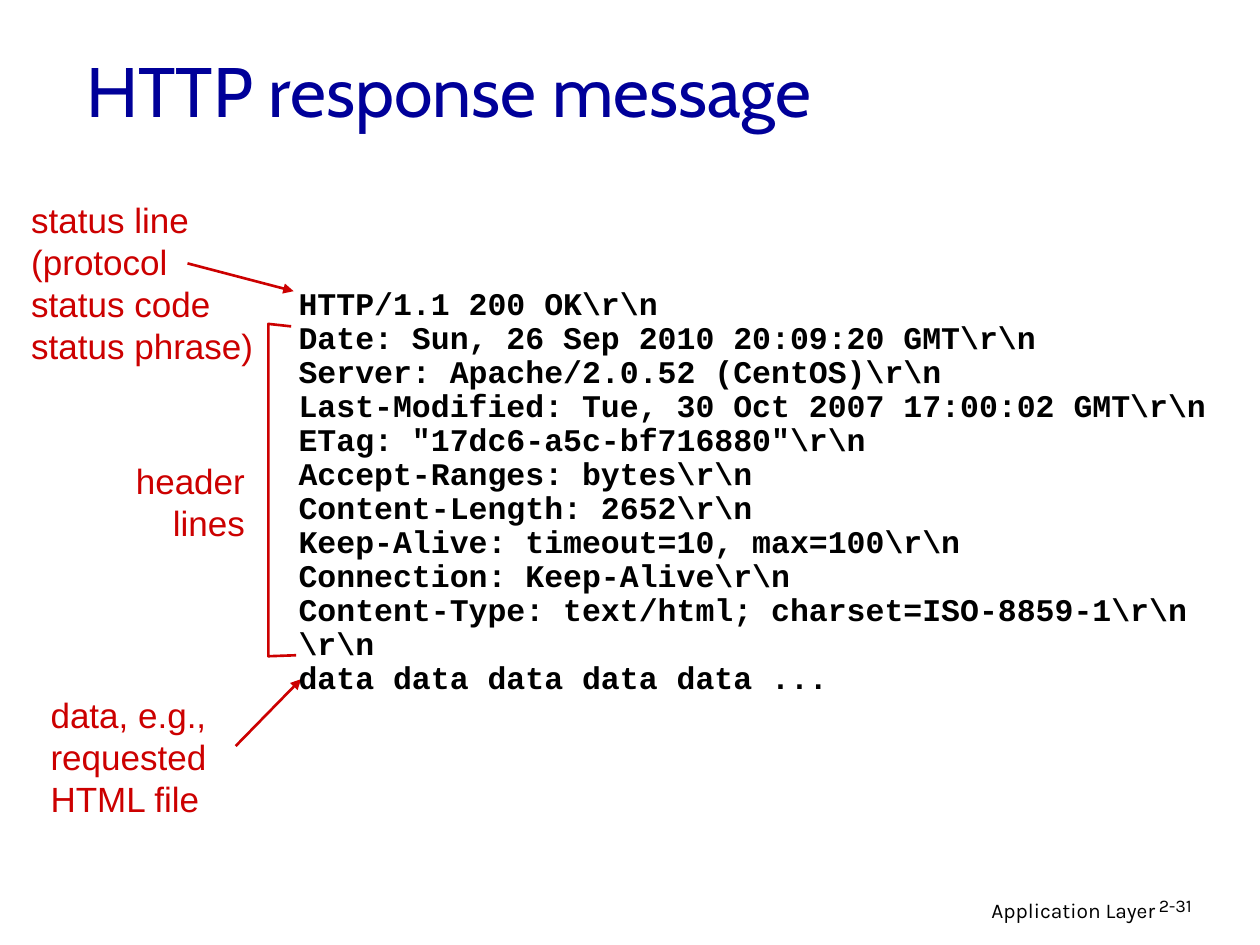
from lxml import etree
from pptx import Presentation
from pptx import util as u
from pptx.dml.color import RGBColor
from pptx.enum import shapes, text
from pptx.oxml.ns import qn

NAVY = RGBColor(0x00, 0x00, 0x99)
RED = RGBColor(0xCC, 0x00, 0x00)
BLACK = RGBColor(0x00, 0x00, 0x00)

RESPONSE = r"""HTTP/1.1 200 OK\r\n
Date: Sun, 26 Sep 2010 20:09:20 GMT\r\n
Server: Apache/2.0.52 (CentOS)\r\n
Last-Modified: Tue, 30 Oct 2007 17:00:02 GMT\r\n
ETag: "17dc6-a5c-bf716880"\r\n
Accept-Ranges: bytes\r\n
Content-Length: 2652\r\n
Keep-Alive: timeout=10, max=100\r\n
Connection: Keep-Alive\r\n
Content-Type: text/html; charset=ISO-8859-1\r\n
\r\n
data data data data data ...""".splitlines()


def place(shape, left, top, width, height):
    shape.left, shape.top = u.Cm(left), u.Cm(top)
    shape.width, shape.height = u.Cm(width), u.Cm(height)


def write(frame, lines, font, size, color, align=text.PP_ALIGN.LEFT,
          spacing=1.0, bold=False):
    for number, line in enumerate(lines):
        paragraph = frame.add_paragraph() if number else frame.paragraphs[0]
        paragraph.alignment = align
        paragraph.line_spacing = spacing
        run = paragraph.add_run()
        run.text = line
        run.font.name = font
        run.font.size = u.Pt(size)
        run.font.bold = bold
        run.font.color.rgb = color


def add_title(slide, wording):
    title = slide.shapes.title
    place(title, 1.49, 0.45, 21.59, 2.72)
    title.text_frame.vertical_anchor = text.MSO_ANCHOR.MIDDLE
    write(title.text_frame, [wording], "Cabin", 40, NAVY)


def add_text(slide, box, lines, font, size, color, wrap=True, **style):
    frame = slide.shapes.add_textbox(*map(u.Cm, box)).text_frame
    frame.word_wrap = wrap
    write(frame, lines, font, size, color, **style)
    return frame


def add_label(slide, box, lines, align=text.PP_ALIGN.LEFT):
    frame = add_text(slide, box, lines, "Arial", 20, RED, wrap=False, align=align)
    frame.auto_size = text.MSO_AUTO_SIZE.SHAPE_TO_FIT_TEXT


def add_response(slide, box):
    frame = add_text(slide, box, RESPONSE, "Courier New", 18, BLACK,
                     spacing=0.9, bold=True)
    frame.auto_size = text.MSO_AUTO_SIZE.SHAPE_TO_FIT_TEXT
    for paragraph in frame.paragraphs:
        properties = paragraph._p.get_or_add_pPr()
        properties.set("marL", str(u.Cm(0.95)))
        properties.set("indent", str(-u.Cm(0.95)))


def style_line(line):
    line.color.rgb = RED
    line.width = u.Pt(1.5)


def add_arrow(slide, start, end):
    arrow = slide.shapes.add_connector(
        shapes.MSO_CONNECTOR.STRAIGHT, *map(u.Cm, start + end))
    style_line(arrow.line)
    etree.SubElement(arrow.line._get_or_add_ln(), qn("a:tailEnd"), type="triangle")
    etree.SubElement(arrow._element.spPr, qn("a:effectLst"))


def add_bracket(slide, points):
    corners = [(u.Cm(x), u.Cm(y)) for x, y in points]
    builder = slide.shapes.build_freeform(*corners[0])
    builder.add_line_segments(corners[1:], close=False)
    bracket = builder.convert_to_shape()
    bracket.fill.background()
    bracket.shadow.inherit = False
    style_line(bracket.line)


def main():
    deck = Presentation()
    deck.slide_width, deck.slide_height = u.Cm(25.4), u.Cm(19.05)
    slide = deck.slides.add_slide(deck.slide_layouts[5])

    add_text(slide, (15.49, 17.96, 8.05, 0.79), ["Application Layer"],
             "Karla", 12, BLACK, align=text.PP_ALIGN.RIGHT)
    add_text(slide, (23.11, 17.96, 1.88, 0.76), ["2-31"],
             "Karla", 10.2, BLACK, spacing=0.9)
    add_title(slide, "HTTP response message")

    add_label(slide, (0.38, 3.87, 4.98, 3.66),
              ["status line", "(protocol", "status code", "status phrase)"])
    add_arrow(slide, (3.78, 5.31), (5.92, 5.87))
    add_bracket(slide, [(5.87, 6.58), (5.41, 6.53), (5.41, 13.23), (5.97, 13.21)])
    add_label(slide, (2.29, 9.13, 2.9, 1.96), ["header", "lines"],
              align=text.PP_ALIGN.RIGHT)
    add_arrow(slide, (4.75, 15.04), (6.07, 13.69))
    add_label(slide, (0.77, 13.86, 3.84, 2.79),
              ["data, e.g.,", "requested", "HTML file"])
    add_response(slide, (5.77, 5.69, 19, 8.48))

    deck.save("out.pptx")


if __name__ == "__main__":
    main()
